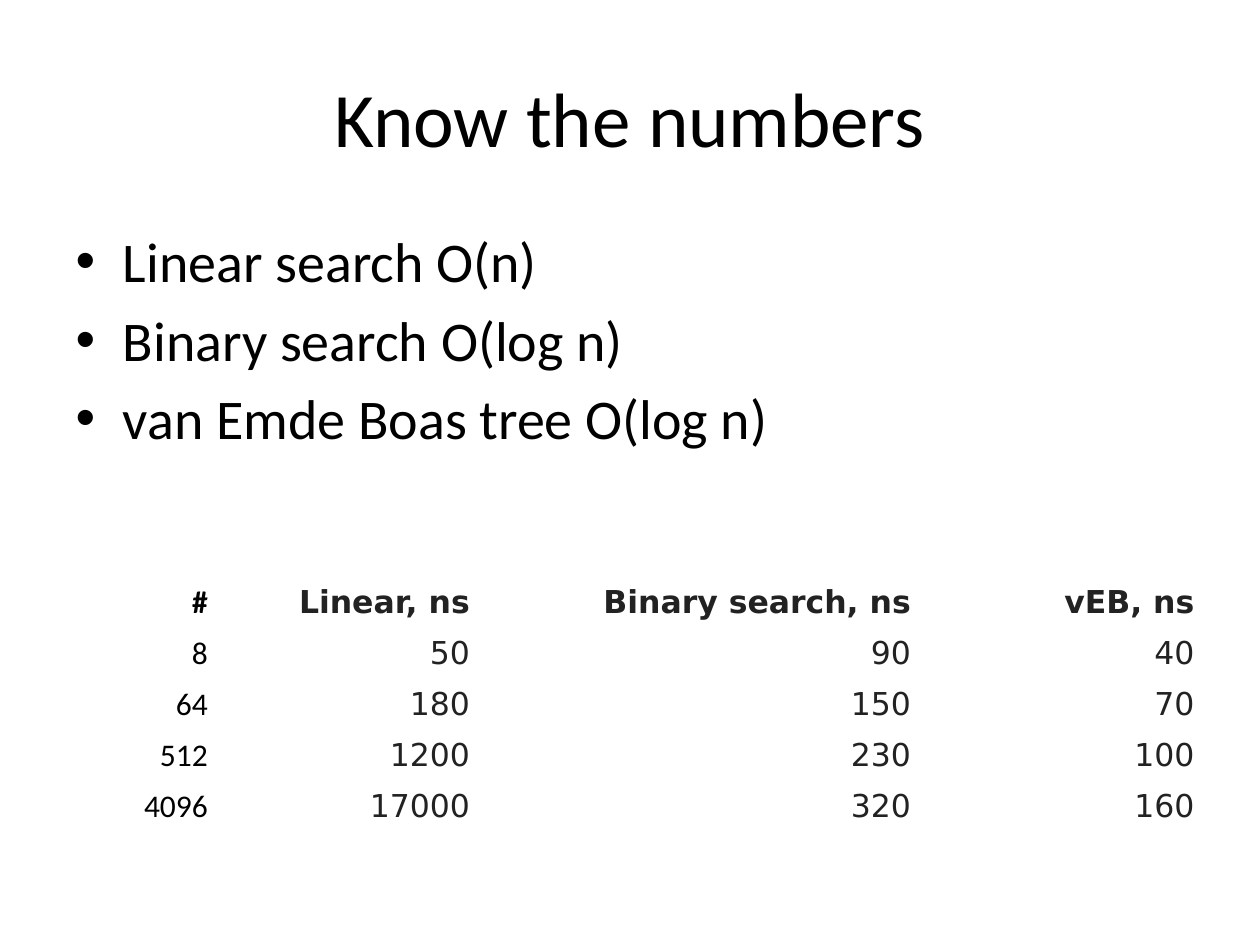
from dataclasses import dataclass

from pptx import Presentation
from pptx.dml.color import RGBColor
from pptx.enum.text import MSO_ANCHOR, PP_ALIGN
from pptx.util import Inches, Pt

BLACK = RGBColor(0x00, 0x00, 0x00)
DARK_GRAY = RGBColor(0x22, 0x22, 0x22)
CENTER, RIGHT = PP_ALIGN.CENTER, PP_ALIGN.RIGHT
MIDDLE = MSO_ANCHOR.MIDDLE
ROW_HEIGHT = 0.4


@dataclass(frozen=True)
class TextStyle:
    """Font settings of a run."""
    font: str
    size: int
    color: RGBColor


@dataclass(frozen=True)
class Column:
    """One table column: width in inches, text style, header and values."""
    width: float
    style: TextStyle
    header: str
    values: tuple[int, ...]


TITLE_STYLE = TextStyle("Calibri", 44, BLACK)
BULLET_STYLE = TextStyle("Calibri", 32, BLACK)
COUNT_STYLE = TextStyle("Calibri", 18, BLACK)
TIMING_STYLE = TextStyle("DejaVu Sans", 18, DARK_GRAY)

SEARCHES = ("Linear search O(n)", "Binary search O(log n)", "van Emde Boas tree O(log n)")
COLUMNS = (
    Column(1.17, COUNT_STYLE, "#", (8, 64, 512, 4096)),
    Column(2.08, TIMING_STYLE, "Linear, ns", (50, 180, 1200, 17000)),
    Column(3.5, TIMING_STYLE, "Binary search, ns", (90, 150, 230, 320)),
    Column(2.25, TIMING_STYLE, "vEB, ns", (40, 70, 100, 160)),
)


def add_run(paragraph, text: str, style: TextStyle, bold: bool = False) -> None:
    """Append a formatted run to a paragraph."""
    run = paragraph.add_run()
    run.text = text
    run.font.name = style.font
    run.font.size = Pt(style.size)
    run.font.color.rgb = style.color
    run.font.bold = bold


def place(shape, left: float, top: float, width: float, height: float) -> None:
    """Move and size a shape, in inches."""
    shape.left, shape.top = Inches(left), Inches(top)
    shape.width, shape.height = Inches(width), Inches(height)


def fill_title(title) -> None:
    """Write the slide title."""
    place(title, 0.5, 0.3, 9, 1.25)
    title.text_frame.vertical_anchor = MIDDLE
    paragraph = title.text_frame.paragraphs[0]
    paragraph.alignment = CENTER
    add_run(paragraph, "Know the numbers", TITLE_STYLE)


def fill_searches(body) -> None:
    """Write the list of search methods."""
    place(body, 0.5, 1.75, 9, 4.95)
    frame = body.text_frame
    for index, search in enumerate(SEARCHES):
        paragraph = frame.add_paragraph() if index else frame.paragraphs[0]
        add_run(paragraph, search, BULLET_STYLE)


def add_timings(slide) -> None:
    """Add the plain table of search timings."""
    row_count = len(COLUMNS[0].values) + 1
    width = sum(column.width for column in COLUMNS)
    table = slide.shapes.add_table(
        row_count, len(COLUMNS), Inches(0.58), Inches(4.58),
        Inches(width), Inches(ROW_HEIGHT * row_count)).table
    table.first_row = table.horz_banding = False
    for column_index, column in enumerate(COLUMNS):
        table.columns[column_index].width = Inches(column.width)
        for row_index, value in enumerate((column.header, *column.values)):
            cell = table.cell(row_index, column_index)
            cell.fill.background()
            cell.vertical_anchor = MIDDLE
            paragraph = cell.text_frame.paragraphs[0]
            paragraph.alignment = RIGHT
            add_run(paragraph, str(value), column.style, bold=row_index == 0)


def main() -> None:
    """Build and save the presentation."""
    presentation = Presentation()
    presentation.slide_width, presentation.slide_height = Inches(10), Inches(7.5)
    slide = presentation.slides.add_slide(presentation.slide_layouts[1])
    fill_title(slide.shapes.title)
    fill_searches(slide.placeholders[1])
    add_timings(slide)
    presentation.save("out.pptx")


main()
